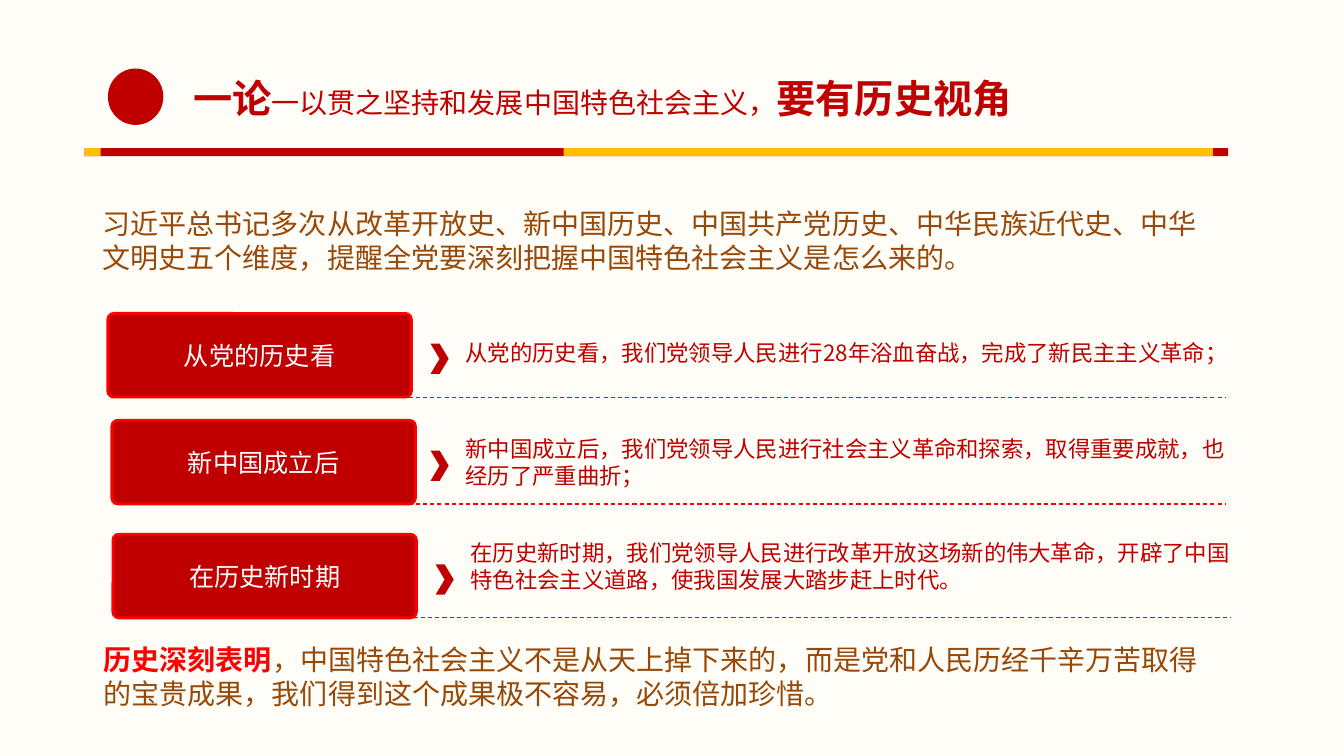
from dataclasses import dataclass
from pptx import Presentation
from pptx.dml.color import RGBColor
from pptx.enum.dml import MSO_LINE
from pptx.enum.shapes import MSO_CONNECTOR, MSO_SHAPE
from pptx.enum.text import MSO_ANCHOR, PP_ALIGN
from pptx.oxml.ns import qn
from pptx.util import Inches, Pt
from lxml import etree

RECT, ROUND = MSO_SHAPE.RECTANGLE, MSO_SHAPE.ROUNDED_RECTANGLE
OVAL, ARROW = MSO_SHAPE.OVAL, MSO_SHAPE.CHEVRON
STRAIGHT, DASH = MSO_CONNECTOR.STRAIGHT, MSO_LINE.DASH
LEFT, CENTER = PP_ALIGN.LEFT, PP_ALIGN.CENTER
TOP, MIDDLE = MSO_ANCHOR.TOP, MSO_ANCHOR.MIDDLE


@dataclass(frozen=True)
class Theme:
    font: str = "Noto Sans CJK SC"
    paper: str = "FEFDF8"
    red: str = "C00000"
    bright: str = "FF0000"
    gold: str = "FFC000"
    brown: str = "984807"
    white: str = "FFFFFF"
    title: int = 28
    body: int = 20
    label: int = 18
    note: int = 16


THEME = Theme()
WIDE, HIGH = 13.33, 7.5

# Left edge, top, label, detail and detail's drop from the row top
ROWS = [
    (1.07, 3.11, 4.27, "从党的历史看",
     "从党的历史看，我们党领导人民进行28年浴血奋战，完成了新民主主义革命；", 0.21),
    (1.11, 4.17, 4.27, "新中国成立后",
     "新中国成立后，我们党领导人民进行社会主义革命和探索，取得重要成就，也经历了严重曲折；", 0.1),
    (1.12, 5.3, 4.32, "在历史新时期",
     "在历史新时期，我们党领导人民进行改革开放这场新的伟大革命，"
     "开辟了中国特色社会主义道路，使我国发展大踏步赶上时代。", 0),
]


def color(code):
    return RGBColor.from_string(code)


def write(frame, runs, size=THEME.body, tint=THEME.brown, align=LEFT,
          anchor=TOP, wrap=True):
    """Each run is its text and a dict of what differs from the defaults."""
    frame.word_wrap = wrap
    frame.vertical_anchor = anchor
    para = frame.paragraphs[0]
    para.alignment = align
    for text, form in runs:
        run = para.add_run()
        run.text = text
        font = run.font
        font.name = THEME.font
        font.size = Pt(form.get("size", size))
        font.bold = form.get("bold", False)
        font.color.rgb = color(form.get("tint", tint))
        east = etree.SubElement(run._r.get_or_add_rPr(), qn("a:ea"))
        east.set("typeface", THEME.font)


def label(slide, box, runs, **form):
    area = slide.shapes.add_textbox(*map(Inches, box))
    write(area.text_frame, runs, **form)


def block(slide, kind, box, fill, edge=None):
    shape = slide.shapes.add_shape(kind, *map(Inches, box))
    shape.shadow.inherit = False
    shape.fill.solid()
    shape.fill.fore_color.rgb = color(fill)
    if edge:
        shape.line.color.rgb = color(edge)
        shape.line.width = Pt(2)
    else:
        shape.line.fill.background()
    return shape


def rule(slide, left, right, y):
    line = slide.shapes.add_connector(
        STRAIGHT, Inches(left), Inches(y), Inches(right), Inches(y))
    line.line.color.rgb = color(THEME.bright)
    line.line.width = Pt(0.75)
    line.line.dash_style = DASH
    etree.SubElement(line._element.spPr, qn("a:effectLst"))


def header(slide, left, top, width):
    # Striped bar below the title
    bar = top + 0.79
    for shift, span, fill in [(0, width, THEME.red), (4.75, 6.44, THEME.gold),
                              (0, 0.16, THEME.gold)]:
        block(slide, RECT, (left + shift, bar, span, 0.08), fill)
    # Plain emblem and title
    block(slide, OVAL, (left + 0.23, top, 0.55, 0.56), THEME.red)
    big = {"size": THEME.title, "bold": True}
    label(slide, (left + 0.94, top + 0.01, 8.39, 0.57),
          [("一论", big), ("一以贯之坚持和发展中国特色社会主义，", {}),
           ("要有历史视角", big)],
          tint=THEME.red, align=CENTER, wrap=False)


def row(slide, left, top, mark, name, detail, drop):
    width, height = 3.01, 0.83
    label(slide, (mark + 0.25, top + drop, 7.87, 0.64), [(detail, {})],
          size=THEME.note, tint=THEME.red)
    # Name plate
    plate = block(slide, ROUND, (left, top, width, height),
                  THEME.red, THEME.bright)
    plate.adjustments[0] = 0.07
    write(plate.text_frame, [(name, {})], size=THEME.label,
          tint=THEME.white, align=CENTER, anchor=MIDDLE)
    # Pointer and dashed rule
    block(slide, ARROW, (mark, top + 0.3, 0.18, 0.3), THEME.red)
    rule(slide, mark - 1.15, mark + 7.89, top + height)


def main():
    deck = Presentation()
    deck.slide_width, deck.slide_height = Inches(WIDE), Inches(HIGH)
    slide = deck.slides.add_slide(deck.slide_layouts[6])
    slide.background.fill.solid()
    slide.background.fill.fore_color.rgb = color(THEME.paper)

    header(slide, 0.84, 0.68, 11.34)
    # Opening paragraph
    label(slide, (0.92, 2, 11.3, 0.77),
          [("习近平总书记多次从改革开放史、新中国历史、中国共产党历史、中华民族近代史、"
            "中华文明史五个维度，提醒全党要深刻把握中国特色社会主义是怎么来的。", {})])
    for item in ROWS:
        row(slide, *item)
    # Closing paragraph
    label(slide, (0.93, 6.33, 11.3, 0.77),
          [("历史深刻表明", {"tint": THEME.bright, "bold": True}),
           ("，中国特色社会主义不是从天上掉下来的，而是党和人民历经千辛万苦取得的宝贵成果，"
            "我们得到这个成果极不容易，必须倍加珍惜。", {})])
    deck.save("out.pptx")


if __name__ == "__main__":
    main()
